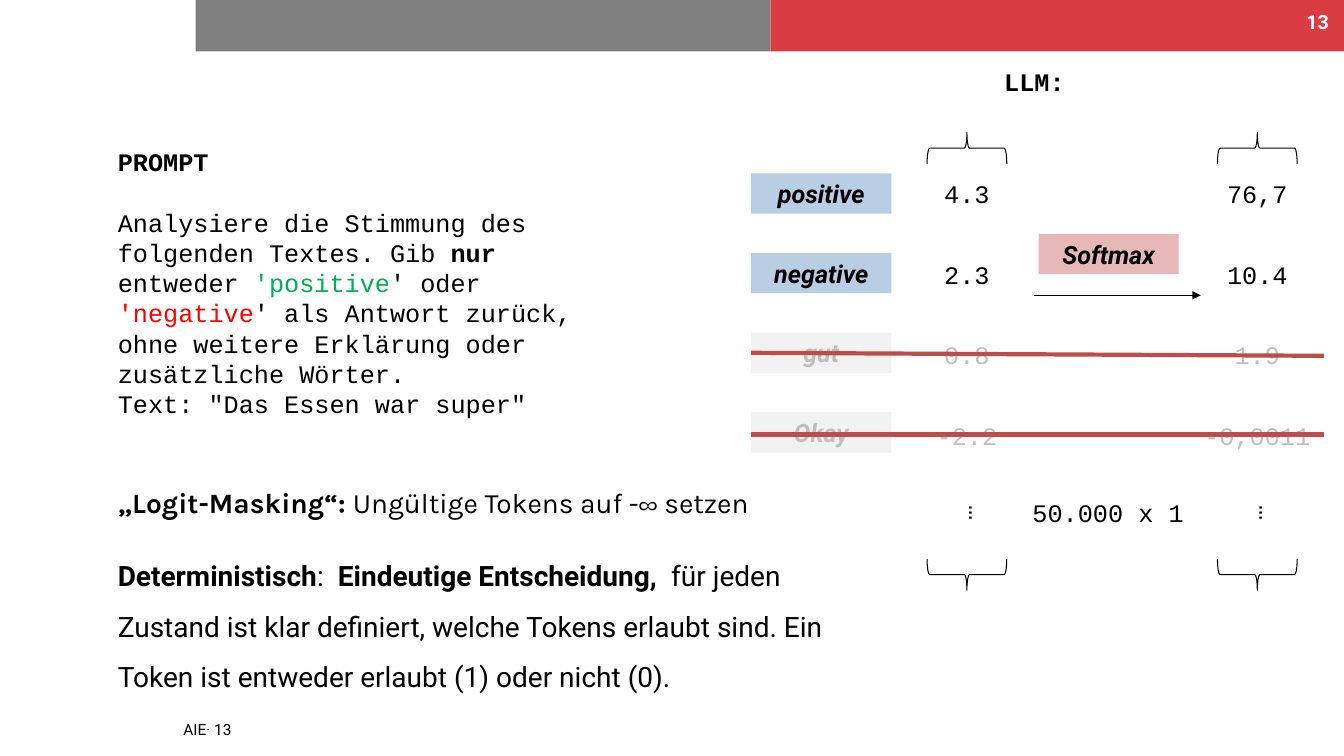
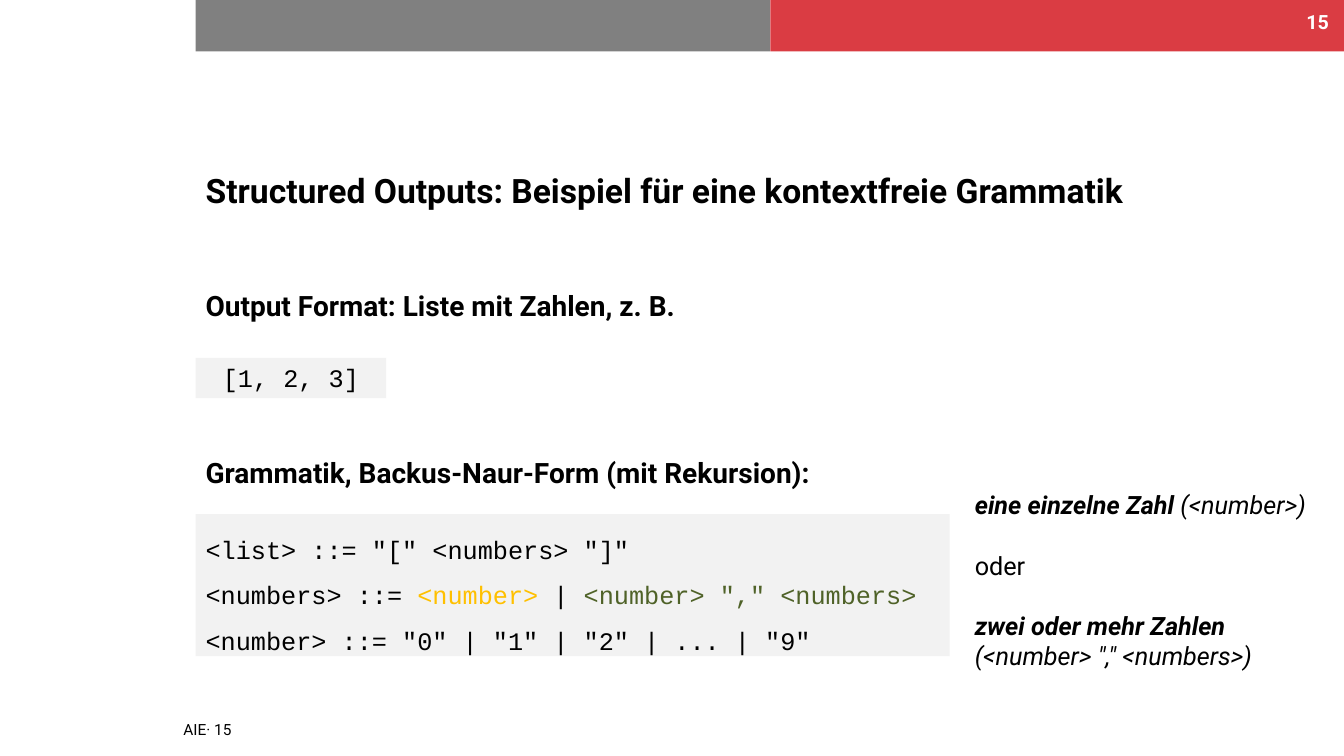
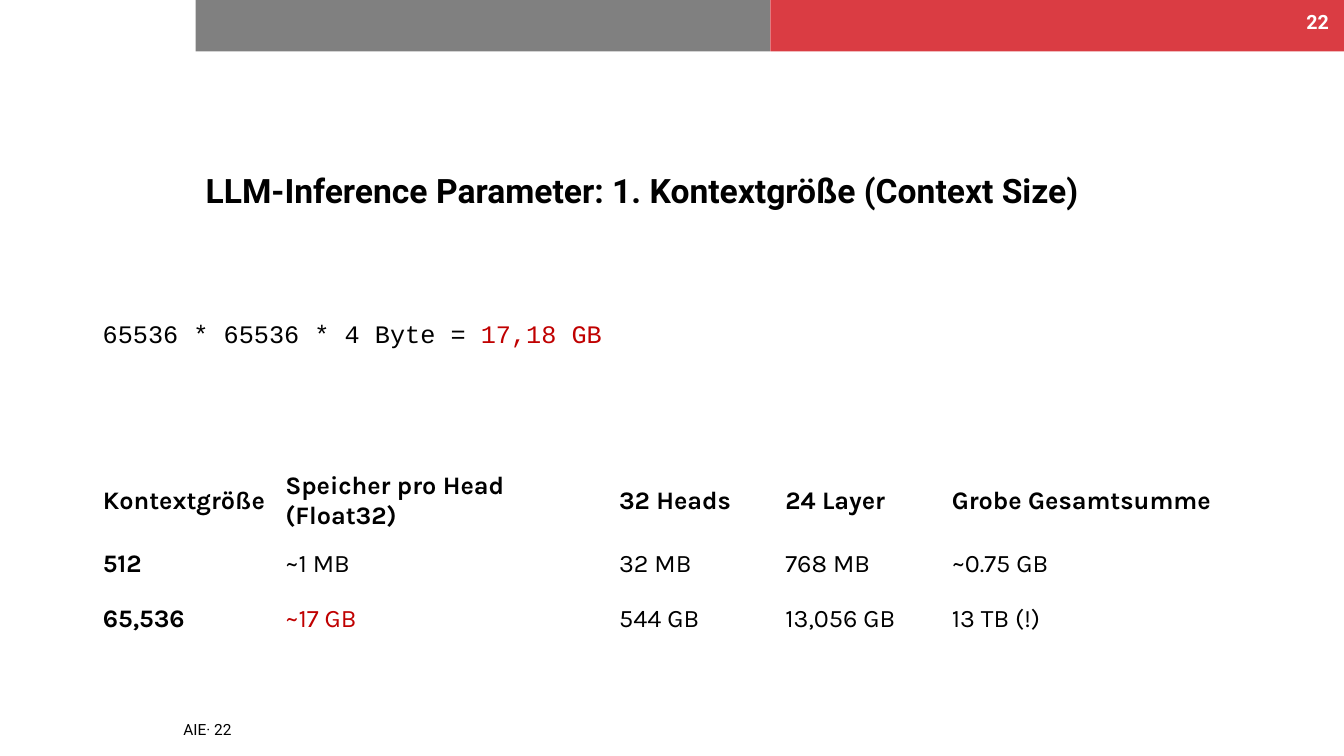
from pptx import Presentation
from pptx.dml.color import RGBColor
from pptx.enum.shapes import MSO_CONNECTOR as Link, MSO_SHAPE as Form
from pptx.enum.text import MSO_ANCHOR as Anchor, MSO_AUTO_SIZE as Fit, PP_ALIGN as Align
from pptx.oxml.ns import qn
from pptx.util import Inches, Pt
from lxml.etree import SubElement

BLACK, WHITE, GREY, RED = "000000", "FFFFFF", "808080", "DA3C43"
PALE, FADED, BLUE, PINK = "F2F2F2", "BFBFBF", "B9CDE5", "E6B9B8"
STRIKE, DEEP, GREEN, BRIGHT = "BF4C48", "C00000", "00B050", "FF0000"
GOLD, OLIVE = "FFC000", "4F6228"

CODE = dict(name="Courier New", size=Pt(18))
TITLE = dict(name="Roboto", size=Pt(24), bold=True)
HEAD = dict(name="Roboto", size=Pt(20), bold=True)
BODY = dict(name="Roboto", size=Pt(20))
NOTE = dict(name="Roboto", size=Pt(18))
TAG = dict(NOTE, bold=True, italic=True)
KARLA = dict(name="Karla", size=Pt(20))
CELL = dict(name="Karla", size=Pt(18))
FOOT = dict(name="Roboto", size=Pt(11))
PAGE = dict(name="Roboto", size=Pt(14), bold=True, color=WHITE)
BOLD = dict(bold=True)
CENTER = dict(alignment=Align.CENTER)
WIDE = dict(line_spacing=1.5)


def rgb(code):
    """Turn a hex string into a colour."""
    return RGBColor.from_string(code)


def assign(item, values):
    """Set the attributes of an item from a dict."""
    for key, value in values.items():
        setattr(item, key, value)


def write(frame, paras, font, para=None):
    """Fill a text frame with paragraphs made of plain or (text, format) runs."""
    for i, runs in enumerate(paras):
        line = frame.paragraphs[0] if i == 0 else frame.add_paragraph()
        assign(line, para or {})
        for part in [runs] if isinstance(runs, str) else runs:
            words, extra = (part, {}) if isinstance(part, str) else part
            look = {"color": BLACK, **font, **extra}
            run = line.add_run()
            run.text = words
            run.font.color.rgb = rgb(look.pop("color"))
            assign(run.font, look)


def text(slide, box, paras, font, para=None, turn=0):
    """Add a wrapping text box."""
    item = slide.shapes.add_textbox(*map(Inches, box))
    item.rotation = turn
    item.text_frame.word_wrap = True
    write(item.text_frame, paras, font, para)
    return item.text_frame


def block(slide, box, fill, paras=(), font=None, para=None, anchor=Anchor.MIDDLE):
    """Add a filled rectangle without outline."""
    item = slide.shapes.add_shape(Form.RECTANGLE, *map(Inches, box))
    item.shadow.inherit = False
    item.fill.solid()
    item.fill.fore_color.rgb = rgb(fill)
    item.line.fill.background()
    item.text_frame.vertical_anchor = anchor
    write(item.text_frame, paras, font, para)


def brace(slide, x, y, turn):
    """Add a curly brace turned about its centre."""
    wide, high = 0.31, 0.79
    box = x - wide / 2, y - high / 2, wide, high
    item = slide.shapes.add_shape(Form.LEFT_BRACE, *map(Inches, box))
    item.shadow.inherit = False
    item.rotation = turn
    item.fill.background()
    item.line.color.rgb = rgb(BLACK)
    item.line.width = Pt(0.75)


def line(slide, ends, color, width, arrow=False):
    """Draw a straight line, with an arrowhead if asked."""
    item = slide.shapes.add_connector(Link.STRAIGHT, *map(Inches, ends))
    item.line.color.rgb = rgb(color)
    item.line.width = Pt(width)
    props = item._element.spPr
    if arrow:
        SubElement(props.find(qn("a:ln")), qn("a:tailEnd"), type="triangle")
    SubElement(props, qn("a:effectLst"))


def start(deck, page, title=None):
    """Add a slide with its bands, footer, page number and title."""
    slide = deck.slides.add_slide(deck.slide_layouts[5 if title else 6])
    for i, fill in enumerate((GREY, RED)):
        block(slide, (1.94 + 5.7 * i, 0, 5.7, 0.51), fill)
    text(slide, (1.72, 7.09, 9.44, 0.29), [f"AIE· {page}"], FOOT)
    text(slide, (12.81, 0.05, 0.47, 0.4), [str(page)], PAGE, dict(alignment=Align.RIGHT))
    if title:
        item = slide.shapes.title
        box = dict(left=1.94, top=1.64, width=10.48, height=0.76)
        assign(item, {key: Inches(size) for key, size in box.items()})
        assign(item.text_frame, dict(vertical_anchor=Anchor.TOP, auto_size=Fit.NONE))
        write(item.text_frame, [title], TITLE, dict(alignment=Align.LEFT))
    return slide


def prompt(slide, x, y):
    """Place the prompt and the remarks below it."""
    frame = text(slide, (x, y, 4.91, 2.83), [
        [("PROMPT", BOLD)],
        ["Analysiere die Stimmung des folgenden Textes. Gib ", ("nur", BOLD), " entweder ",
         ("'positive", dict(color=GREEN)), "' oder ", ("'negative", dict(color=BRIGHT)),
         "' als Antwort zurück, ohne weitere Erklärung oder zusätzliche Wörter."],
        "Text: \"Das Essen war super\""], CODE)
    frame.paragraphs[0].space_after = Pt(22)
    text(slide, (x, y + 3.37, 6.67, 0.44), [
        [("„Logit-Masking“: ", BOLD), "Ungültige Tokens auf -∞ setzen"]], KARLA)
    text(slide, (x, y + 3.93, 7.63, 1.56), [
        [("Deterministisch", BOLD), ":  ", ("Eindeutige Entscheidung, ", BOLD),
         " für jeden Zustand ist klar definiert, welche Tokens erlaubt sind. "
         "Ein Token ist entweder erlaubt (1) oder nicht (0)."]], BODY, WIDE)


def model(slide, x, y):
    """Place the token scores before and after the softmax."""
    rows = [("positive", "4.3", "76,7", True), ("negative", "2.3", "10.4", True),
            ("gut", "0.8", "1.9", False), ("Okay", "-2.2", "-0,0011", False)]
    cols = x + 2.14, x + 5.02
    text(slide, (x, y, 5.62, 0.4), ["LLM:"], dict(CODE, bold=True), CENTER)
    for i, (token, *scores, valid) in enumerate(rows):
        tone = dict(color=BLACK if valid else FADED)
        block(slide, (x, y + 1.11 + 0.79 * i, 1.39, 0.4), BLUE if valid else PALE,
              [token], {**TAG, **tone}, CENTER)
        for mid, score in zip(cols, scores):
            text(slide, (mid - 0.85, y + 1.11 + 0.8 * i, 1.7, 0.4), [score],
                 {**CODE, **tone}, CENTER)
    for mid in cols:
        brace(slide, mid, y + 0.86, 90)
        brace(slide, mid, y + 5.09, 270)
        text(slide, (mid - 0.38, y + 4.28, 1, 0.4), ["…"], CODE, CENTER, 90)
    text(slide, (x + 2.62, y + 4.27, 1.84, 0.4), ["50.000 x 1"], CODE, CENTER)
    block(slide, (x + 2.85, y + 1.71, 1.39, 0.4), PINK, ["Softmax"], TAG, CENTER)
    line(slide, (x + 2.81, y + 2.32, x + 4.46, y + 2.32), BLACK, 0.75, True)
    for left, right in ((2.89, 2.92), (3.7, 3.7)):
        line(slide, (x, y + left, x + 5.68, y + right), STRIKE, 3)


def grammar(slide, x, y):
    """Place the output format and the grammar in grey code boxes."""
    heads = "Output Format: Liste mit Zahlen, z. B.", "Grammatik, Backus-Naur-Form (mit Rekursion):"
    for i, head in enumerate(heads):
        text(slide, (x, y + 1.65 * i, 10.86, 0.55), [head], HEAD, WIDE)
    block(slide, (x, y + 0.9, 1.89, 0.4), PALE, ["[1, 2, 3]"], CODE, CENTER, Anchor.TOP)
    block(slide, (x, y + 2.45, 7.48, 1.41), PALE, [
        "<list> ::= \"[\" <numbers> \"]\"",
        ["<numbers> ::= ", ("<number>", dict(color=GOLD)), " | ",
         ("<number> \",\" <numbers>", dict(color=OLIVE))],
        "<number> ::= \"0\" | \"1\" | \"2\" | ... | \"9\""],
        CODE, dict(WIDE, alignment=Align.LEFT), Anchor.TOP)


def legend(slide, x, y):
    """Explain the two alternatives of the grammar."""
    slant = dict(italic=True)
    text(slide, (x, y, 3.64, 1.92), [
        [("eine einzelne Zahl", TAG), (" (<number>)", slant)],
        "oder",
        [("zwei oder mehr Zahlen", TAG), (" (<number> \",\" <numbers>)", slant)]],
        NOTE, dict(space_after=Pt(21.5)))


def memory(slide, x, y):
    """Place the formula and the table of memory needs."""
    text(slide, (x, y, 6.67, 0.4), [
        ["65536 * 65536 * 4 Byte = ", ("17,18 GB", dict(color=DEEP))]], CODE)
    rows = [("Kontextgröße", "Speicher pro Head (Float32)", "32 Heads", "24 Layer",
             "Grobe Gesamtsumme"),
            ("512", "~1 MB", "32 MB", "768 MB", "~0.75 GB"),
            ("65,536", "~17 GB", "544 GB", "13,056 GB", "13 TB (!)")]
    box = x, y + 1.51, 11.49, 1.8
    grid = slide.shapes.add_table(len(rows), len(rows[0]), *map(Inches, box)).table
    assign(grid, dict(first_row=False, horz_banding=False))
    for col, wide in zip(grid.columns, (1.81, 3.31, 1.65, 1.65, 3.07)):
        col.width = Inches(wide)
    for row, high in zip(grid.rows, (0.7, 0.55, 0.55)):
        row.height = Inches(high)
    for i, row in enumerate(rows):
        for j, words in enumerate(row):
            cell = grid.cell(i, j)
            cell.fill.background()
            cell.vertical_anchor = Anchor.MIDDLE
            tone = DEEP if words == "~17 GB" else BLACK
            write(cell.text_frame, [words], dict(CELL, bold=i == 0 or j == 0, color=tone))


def main():
    """Build the three slides and save them."""
    deck = Presentation()
    assign(deck, dict(slide_width=Inches(13.33), slide_height=Inches(7.5)))
    slide = start(deck, 13)
    model(slide, 7.45, 0.61)
    prompt(slide, 1.07, 1.4)
    slide = start(deck, 15, "Structured Outputs: Beispiel für eine kontextfreie Grammatik")
    grammar(slide, 1.94, 2.65)
    legend(slide, 9.57, 4.81)
    slide = start(deck, 22, "LLM-Inference Parameter: 1. Kontextgröße (Context Size)")
    memory(slide, 0.92, 3.11)
    deck.save("out.pptx")


if __name__ == "__main__":
    main()
